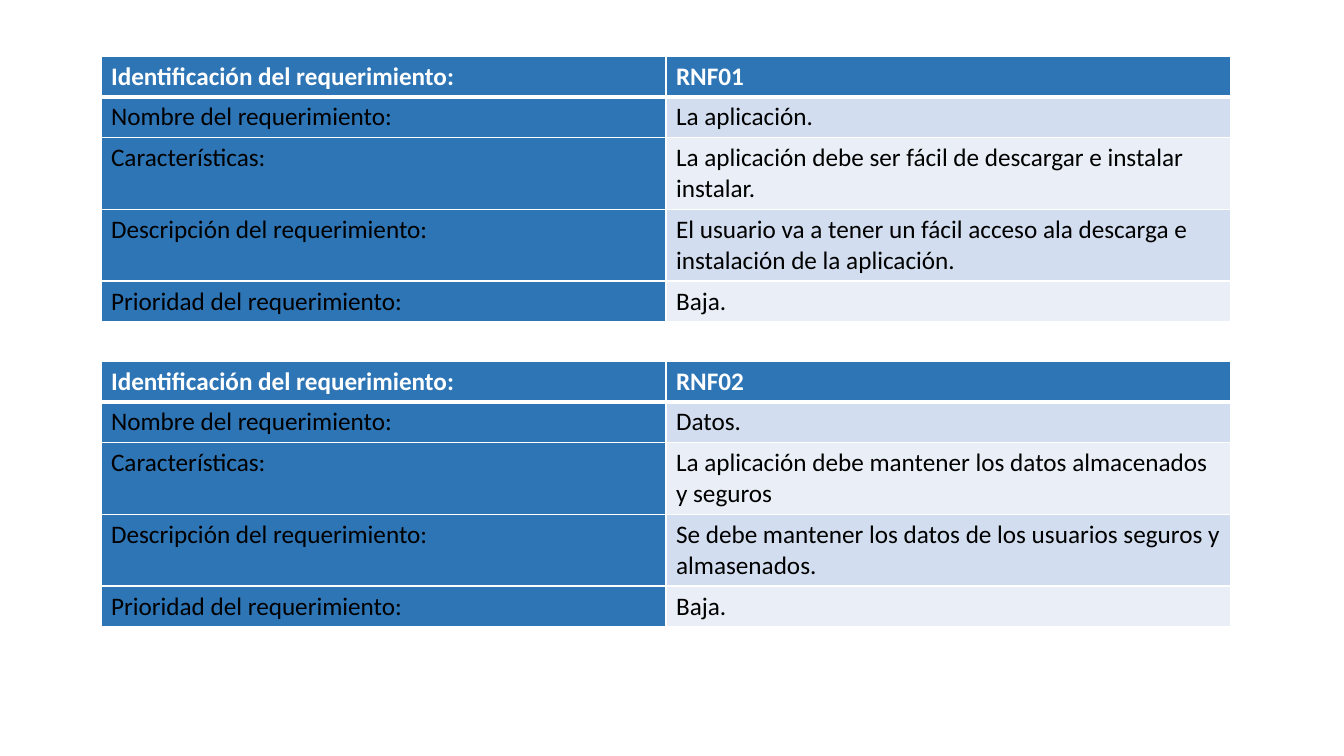
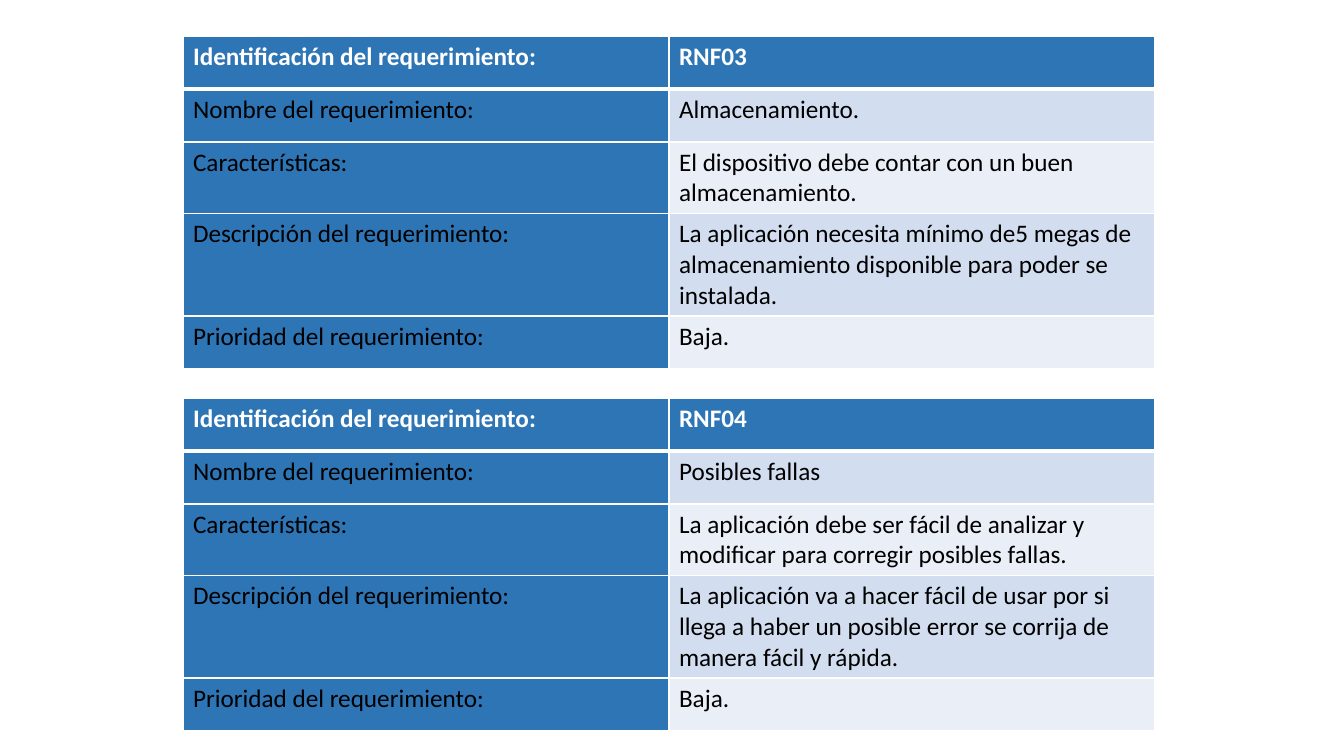
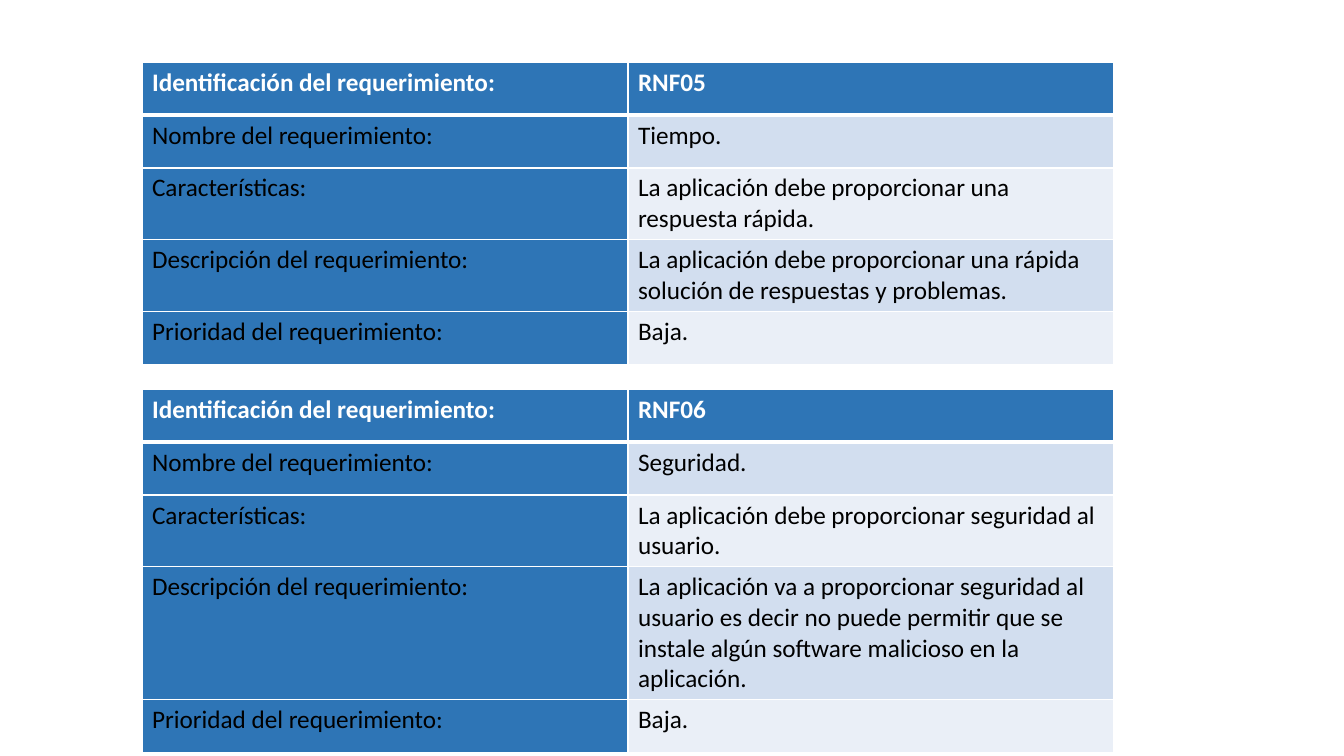
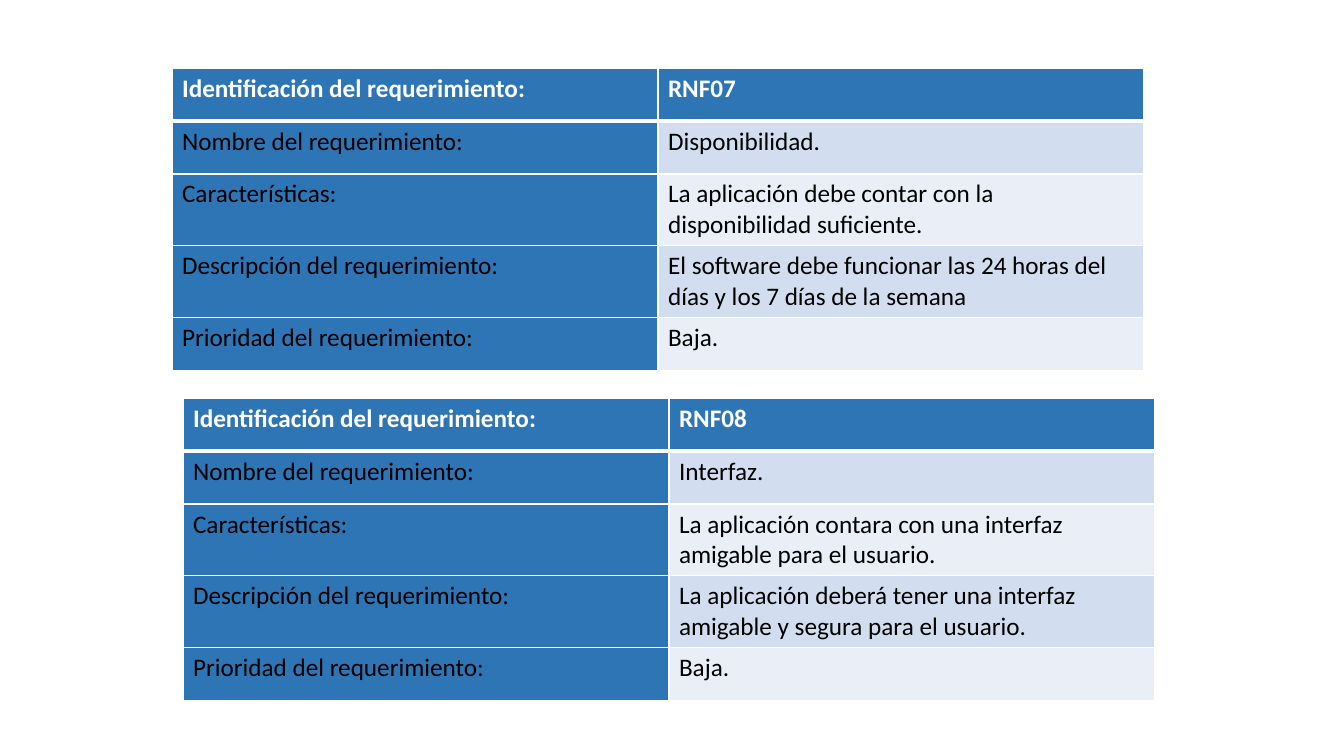
"""Build four slides of non-functional requirement tables, two tables to a slide."""
import dataclasses

import lxml.etree
import pptx
import pptx.dml.color
import pptx.oxml.ns
import pptx.presentation
import pptx.slide
import pptx.table
import pptx.util

PX = 914400 / 100.8
SLIDE_W, SLIDE_H = 1344, 756

BLUE = "2E75B6"
BAND_DARK = "D2DEEF"
BAND_LIGHT = "EAEFF7"
WHITE = "FFFFFF"
BLACK = "000000"
FONT = "Calibri"
FONT_SIZE = 18
THIN, THICK = 1, 3

LABELS = (
    "Identificación del requerimiento:",
    "Nombre del requerimiento:",
    "Características:",
    "Descripción del requerimiento:",
    "Prioridad del requerimiento:",
)
PRIORITY = "Baja."
EVEN_ROWS = (53,) * len(LABELS)


@dataclasses.dataclass(frozen=True)
class Requirement:
    """One requirement table: its place in pixels and the values it lists."""

    left: int
    top: int
    code: str
    name: str
    features: str
    description: str
    col_width: int = 486
    row_heights: tuple[int, ...] = EVEN_ROWS

    def values(self) -> tuple[str, ...]:
        """Return the right-hand column from top to bottom."""
        return self.code, self.name, self.features, self.description, PRIORITY


SLIDES = (
    (
        Requirement(
            101, 56, "RNF01", "La aplicación.",
            "La aplicación debe ser fácil de descargar e instalar instalar.",
            "El usuario va a tener un fácil acceso ala descarga e instalación"
            " de la aplicación.",
            col_width=565, row_heights=(38, 38, 66, 66, 38),
        ),
        Requirement(
            101, 361, "RNF02", "Datos.",
            "La aplicación debe mantener los datos almacenados y seguros",
            "Se debe mantener los datos de los usuarios seguros y almasenados.",
            col_width=565, row_heights=(35, 35, 61, 61, 35),
        ),
    ),
    (
        Requirement(
            183, 36, "RNF03", "Almacenamiento.",
            "El dispositivo debe contar con un buen almacenamiento.",
            "La aplicación necesita mínimo de5 megas de almacenamiento"
            " disponible para poder se instalada.",
        ),
        Requirement(
            183, 398, "RNF04", "Posibles fallas",
            "La aplicación debe ser fácil de analizar y modificar para"
            " corregir posibles fallas.",
            "La aplicación va a hacer fácil de usar por si llega a haber un"
            " posible error se corrija de manera fácil y rápida.",
        ),
    ),
    (
        Requirement(
            142, 62, "RNF05", "Tiempo.",
            "La aplicación debe proporcionar una respuesta rápida.",
            "La aplicación debe proporcionar una rápida solución de respuestas"
            " y problemas.",
        ),
        Requirement(
            142, 389, "RNF06", "Seguridad.",
            "La aplicación debe proporcionar seguridad al usuario.",
            "La aplicación va a proporcionar seguridad al usuario es decir no"
            " puede permitir que se instale algún software malicioso en la"
            " aplicación.",
        ),
    ),
    (
        Requirement(
            172, 68, "RNF07", "Disponibilidad.",
            "La aplicación debe contar con la disponibilidad suficiente.",
            "El software debe funcionar las 24 horas del días y los 7 días de"
            " la semana",
        ),
        Requirement(
            183, 398, "RNF08", "Interfaz.",
            "La aplicación contara con una interfaz amigable para el usuario.",
            "La aplicación deberá tener una interfaz amigable y segura para el"
            " usuario.",
        ),
    ),
)


def px(pixels: int) -> pptx.util.Emu:
    """Turn pixels into EMU."""
    return pptx.util.Emu(round(pixels * PX))


def rgb(value: str) -> pptx.dml.color.RGBColor:
    """Turn a hex string into a colour."""
    return pptx.dml.color.RGBColor.from_string(value)


def set_borders(cell: pptx.table._Cell, top: int, bottom: int) -> None:
    """Give a cell white borders, with thin sides."""
    qn = pptx.oxml.ns.qn
    tc_pr = cell._tc.get_or_add_tcPr()
    widths = {"a:lnL": THIN, "a:lnR": THIN, "a:lnT": top, "a:lnB": bottom}
    for tag, width in widths.items():
        ln = lxml.etree.SubElement(tc_pr, qn(tag), w=str(pptx.util.Pt(width)))
        fill = lxml.etree.SubElement(ln, qn("a:solidFill"))
        lxml.etree.SubElement(fill, qn("a:srgbClr"), val=WHITE)


def fill_cell(cell: pptx.table._Cell, text: str, row: int, fill: str) -> None:
    """Write and style one cell; row 0 is the header."""
    header = row == 0
    set_borders(cell, THICK if row == 1 else THIN, THICK if header else THIN)
    cell.fill.solid()
    cell.fill.fore_color.rgb = rgb(fill)
    cell.text_frame.text = text
    font = cell.text_frame.paragraphs[0].runs[0].font
    font.name = FONT
    font.size = pptx.util.Pt(FONT_SIZE)
    font.bold = header
    font.color.rgb = rgb(WHITE if header else BLACK)


def add_requirement(slide: pptx.slide.Slide, req: Requirement) -> None:
    """Draw one requirement as a two-column table."""
    table = slide.shapes.add_table(
        len(LABELS), 2, px(req.left), px(req.top),
        px(2 * req.col_width), px(sum(req.row_heights)),
    ).table
    for column in table.columns:
        column.width = px(req.col_width)
    for row, (label, value) in enumerate(zip(LABELS, req.values())):
        table.rows[row].height = px(req.row_heights[row])
        band = BAND_DARK if row % 2 else BAND_LIGHT
        fill_cell(table.cell(row, 0), label, row, BLUE)
        fill_cell(table.cell(row, 1), value, row, band if row else BLUE)


def build() -> pptx.presentation.Presentation:
    """Build the whole presentation."""
    prs = pptx.Presentation()
    prs.slide_width, prs.slide_height = px(SLIDE_W), px(SLIDE_H)
    for requirements in SLIDES:
        slide = prs.slides.add_slide(prs.slide_layouts[6])
        for req in requirements:
            add_requirement(slide, req)
    return prs


build().save("out.pptx")
